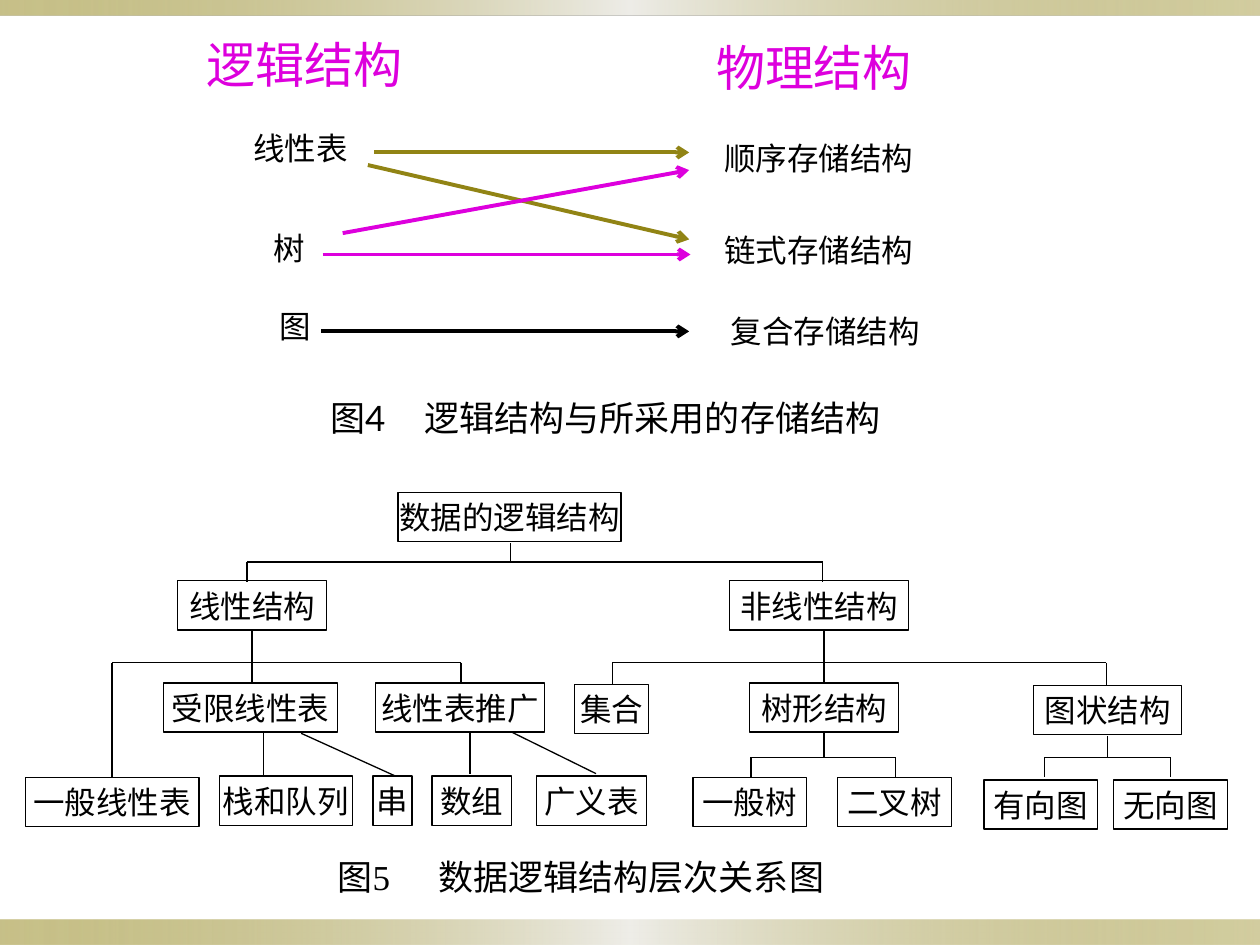
from lxml.etree import SubElement
from pptx import Presentation
from pptx.dml.color import RGBColor
from pptx.enum.shapes import MSO_CONNECTOR, MSO_SHAPE
from pptx.enum.text import MSO_ANCHOR, PP_ALIGN
from pptx.oxml import parse_xml
from pptx.oxml.ns import nsdecls, qn
from pptx.util import Inches, Pt

BLACK, MAGENTA, OLIVE = "000000", "DD00DD", "918415"
CJK = "Noto Sans CJK SC"
BOX_H = 0.39

# Gold bands: top, height
BANDS = [(7.3, 0.2), (0, 0.12)]

# Headings and labels: text, left, top, width, height
HEADINGS = [("逻辑结构", 1.58, 0.26, 1.67, 0.5), ("物理结构", 5.67, 0.28, 1.58, 0.5)]
LABELS = [
    ("线性表", 1.72, 0.96, 1.33, 0.42),
    ("树", 1.88, 1.76, 0.83, 0.42),
    ("图", 1.97, 2.38, 0.75, 0.42),
    ("顺序存储结构", 5.5, 1, 2, 0.5),
    ("链式存储结构", 5.5, 1.73, 2, 0.5),
    ("复合存储结构", 5.55, 2.38, 2, 0.5),
]

# Arrows from logical to physical structure: x1, y1, x2, y2, colour
ARROWS = [
    (2.97, 1.21, 5.47, 1.21, OLIVE),
    (2.92, 1.31, 5.47, 1.9, OLIVE),
    (2.72, 1.85, 5.47, 1.35, MAGENTA),
    (2.55, 2.63, 5.47, 2.63, BLACK),
    (2.56, 2.02, 5.48, 2.02, MAGENTA),
]

# Captions: number, its font, title, box, left inset, tab stop of the title
CAPTIONS = [
    ("4", "Lato", "逻辑结构与所采用的存储结构", (2.31, 3.1, 5, 0.42), 0.31, 0.75),
    ("5", "Times New Roman", "数据逻辑结构层次关系图", (2.3, 6.71, 4.61, 0.5), 0.38, 0.8),
]

# Tree boxes: text, left, top, width
NODES = [
    ("数据的逻辑结构", 3.16, 3.91, 1.77),
    ("线性结构", 1.41, 4.61, 1.18), ("非线性结构", 5.79, 4.61, 1.42),
    ("受限线性表", 1.3, 5.42, 1.38), ("线性表推广", 2.98, 5.42, 1.34),
    ("集合", 4.56, 5.43, 0.59), ("树形结构", 5.95, 5.42, 1.18),
    ("图状结构", 8.2, 5.44, 1.18),
    ("一般线性表", 0.2, 6.17, 1.38), ("栈和队列", 1.74, 6.16, 1.06),
    ("串", 2.96, 6.16, 0.31), ("数组", 3.43, 6.16, 0.63),
    ("广义表", 4.26, 6.16, 0.87), ("一般树", 5.5, 6.17, 0.9),
    ("二叉树", 6.65, 6.17, 0.9), ("有向图", 7.81, 6.19, 0.9),
    ("无向图", 8.84, 6.19, 0.9),
]

# Branches: stem x, stem top, bus y, drops as (x, bottom)
BRANCHES = [
    (4.05, 4.31, 4.46, [(1.96, 4.62), (6.53, 4.62)]),
    (2, 5.01, 5.26, [(0.89, 6.17), (2, 5.42), (3.66, 5.42)]),
    (6.54, 5.01, 5.26, [(4.86, 5.44), (6.54, 5.42), (8.78, 5.44)]),
    (6.54, 5.82, 6.01, [(5.96, 6.17), (7.11, 6.17)]),
    (8.79, 5.84, 6.01, [(8.29, 6.17), (9.29, 6.17)]),
]

# Direct links without a bus: x1, y1, x2, y2
LINKS = [
    (2.09, 5.82, 2.09, 6.16), (2.39, 5.82, 3.14, 6.16),
    (3.73, 5.81, 3.73, 6.14), (4.06, 5.81, 4.73, 6.14),
]


def rgb(color):
    return RGBColor.from_string(color)


def add_run(p, text, size=18, font="Lato", color=BLACK):
    r = p.add_run()
    r.text = text
    r.font.size, r.font.name = Pt(size), font
    r.font.color.rgb = rgb(color)
    SubElement(r.font._element, qn("a:ea")).set("typeface", CJK)


def add_text(s, text, box, outline=None, wrap=False, align=PP_ALIGN.CENTER,
             inset=(0, 0, 0, 0), **fmt):
    """Add a text box, or an outlined rectangle; return its paragraph."""
    box = [Inches(v) for v in box]
    if outline:
        sp = s.shapes.add_shape(MSO_SHAPE.RECTANGLE, *box)
        sp.shadow.inherit = False
        sp.fill.background()
        sp.line.color.rgb, sp.line.width = rgb(outline), Pt(0.75)
    else:
        sp = s.shapes.add_textbox(*box)
    tf = sp.text_frame
    tf.word_wrap, tf.vertical_anchor = wrap, MSO_ANCHOR.MIDDLE
    tf.margin_left, tf.margin_top, tf.margin_right, tf.margin_bottom = map(Inches, inset)
    p = tf.paragraphs[0]
    p.alignment = align
    add_run(p, text, **fmt)
    return p


def add_line(s, x1, y1, x2, y2, color=BLACK, width=0.75, arrow=False):
    c = s.shapes.add_connector(MSO_CONNECTOR.STRAIGHT, *map(Inches, (x1, y1, x2, y2)))
    c.line.color.rgb, c.line.width = rgb(color), Pt(width)
    if arrow:
        SubElement(c.line._get_or_add_ln(), qn("a:tailEnd")).set("type", "arrow")
    SubElement(c._element.spPr, qn("a:effectLst"))


def add_band(s, top, height):
    sp = s.shapes.add_shape(MSO_SHAPE.RECTANGLE, 0, Inches(top), Inches(10), Inches(height))
    sp.shadow.inherit = False
    sp.line.fill.background()
    stops = "".join(
        f'<a:gs pos="{pos}000"><a:srgbClr val="{color}"><a:alpha val="{alpha}000"/></a:srgbClr></a:gs>'
        for pos, color, alpha in [(0, OLIVE, 50), (50, "EEEDE8", 100), (100, OLIVE, 40)])
    sp._element.spPr.find(qn("a:prstGeom")).addnext(parse_xml(
        f'<a:gradFill {nsdecls("a")}><a:gsLst>{stops}</a:gsLst><a:lin ang="0" scaled="0"/></a:gradFill>'))


def add_caption(s, number, font, title, box, left, tab):
    p = add_text(s, "图", box, wrap=True, align=PP_ALIGN.LEFT,
                 inset=(left, 0.05, 0.1, 0.05), size=20, font=CJK)
    add_run(p, number, size=20, font=font)
    add_run(p, "\t" + title, size=20, font=CJK)
    tabs = SubElement(p._p.get_or_add_pPr(), qn("a:tabLst"))
    SubElement(tabs, qn("a:tab"), pos=str(Inches(tab)), algn="l")


def main():
    prs = Presentation()
    prs.slide_width, prs.slide_height = Inches(10), Inches(7.5)
    s = prs.slides.add_slide(prs.slide_layouts[6])

    for band in BANDS:
        add_band(s, *band)

    # Hierarchy of logical structures
    for text, left, top, width in NODES:
        add_text(s, text, (left, top, width, BOX_H), outline=BLACK)
    for x, top, bus, drops in BRANCHES:
        add_line(s, x, top, x, bus)
        add_line(s, drops[0][0], bus, drops[-1][0], bus)
        for drop_x, bottom in drops:
            add_line(s, drop_x, bus, drop_x, bottom)
    for link in LINKS:
        add_line(s, *link)

    # Logical structures and their storage
    for caption in CAPTIONS:
        add_caption(s, *caption)
    for text, *box in LABELS:
        add_text(s, text, box)
    for text, *box in HEADINGS:
        add_text(s, text, box, size=28, color=MAGENTA)
    for *ends, color in ARROWS:
        add_line(s, *ends, color=color, width=2.25, arrow=True)

    prs.save("out.pptx")


if __name__ == "__main__":
    main()
